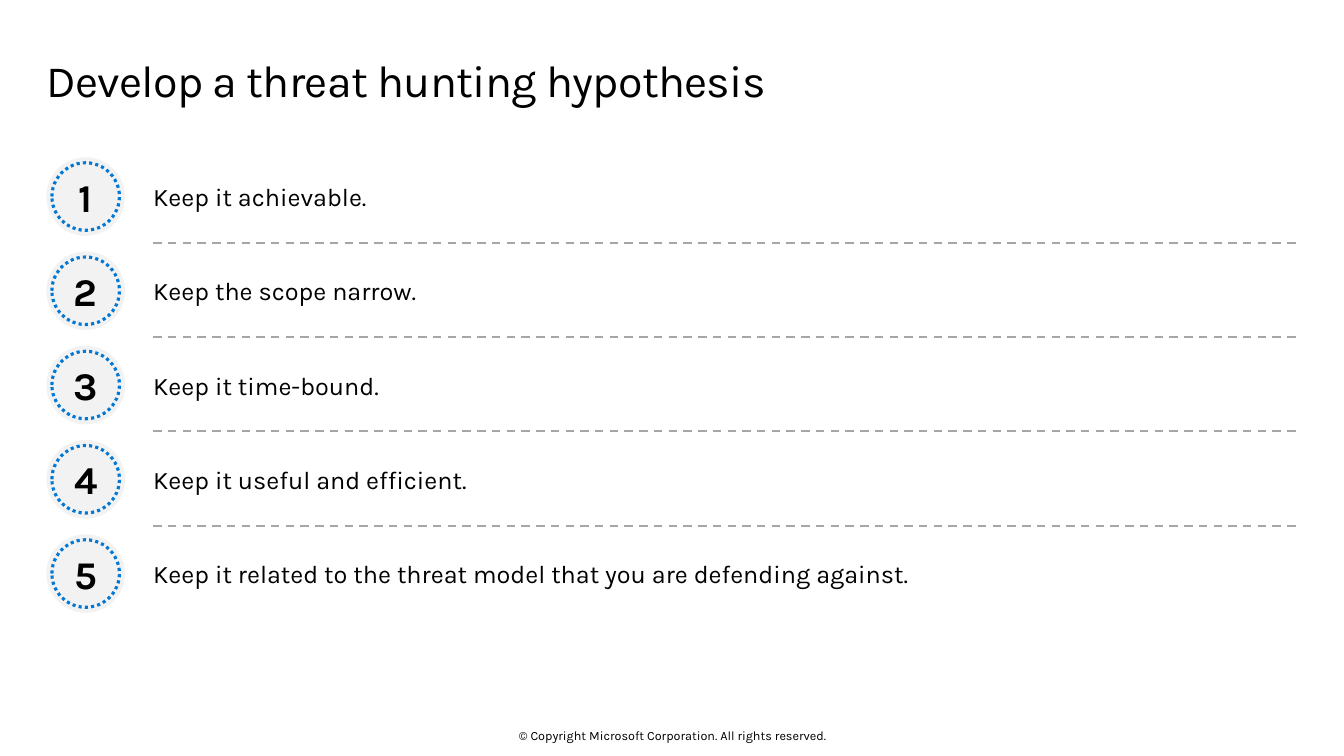
import pptx
import pptx.util
import pptx.dml.color
import pptx.enum.dml
import pptx.enum.shapes
import pptx.enum.text
import pptx.oxml.ns
import lxml.etree

Inches = pptx.util.Inches
Pt = pptx.util.Pt
ALIGN = pptx.enum.text.PP_ALIGN
ANCHOR = pptx.enum.text.MSO_ANCHOR
DASH = pptx.enum.dml.MSO_LINE

FONT = "Karla"
BLACK, GREY, PALE, BLUE = "000000", "A6A6A6", "F2F2F2", "0078D4"

TITLE = "Develop a threat hunting hypothesis"
COPYRIGHT = "© Copyright Microsoft Corporation. All rights reserved."
GUIDELINES = [
    "Keep it achievable.",
    "Keep the scope narrow.",
    "Keep it time-bound.",
    "Keep it useful and efficient.",
    "Keep it related to the threat model that you are defending against.",
]

# Row layout
LEFT, TEXT_LEFT, RIGHT = 0.46, 1.52, 12.86
FIRST_TOP, LAST_TOP = 1.56, 5.3
PITCH = (LAST_TOP - FIRST_TOP) / (len(GUIDELINES) - 1)
DISC, RING = 0.78, 0.67
TEXT_HEIGHT = 0.71
RULE_OFFSET = 0.85


def color(value):
    return pptx.dml.color.RGBColor.from_string(value)


def write(shape, text, size, align=ALIGN.LEFT, anchor=ANCHOR.MIDDLE,
          bold=False, insets=(0, 0, 0, 0)):
    """Put one formatted run in the shape and return its paragraph and run."""
    frame = shape.text_frame
    frame.word_wrap = True
    frame.auto_size = pptx.enum.text.MSO_AUTO_SIZE.NONE
    frame.vertical_anchor = anchor
    (frame.margin_left, frame.margin_top,
     frame.margin_right, frame.margin_bottom) = map(Inches, insets)
    para = frame.paragraphs[0]
    para.alignment = align
    span = para.add_run()
    span.text = text
    span.font.name = FONT
    span.font.size = Pt(size)
    span.font.bold = bold
    span.font.color.rgb = color(BLACK)
    return para, span


def add_title(page, text):
    title = page.shapes.title
    title.left, title.top = Inches(LEFT), Inches(0.48)
    title.width, title.height = Inches(12.4), Inches(0.74)
    para, span = write(title, text, 32, anchor=ANCHOR.TOP,
                       insets=(0, 0.1, 0.16, 0.1))
    para.line_spacing = 0.9
    span.font._element.set("spc", "-50")


def add_text(page, text, left, top, width, height, size, align=ALIGN.LEFT):
    box = page.shapes.add_textbox(Inches(left), Inches(top),
                                  Inches(width), Inches(height))
    write(box, text, size, align)


def add_circle(group, left, top, size):
    circle = group.shapes.add_shape(
        pptx.enum.shapes.MSO_SHAPE.OVAL,
        Inches(left), Inches(top), Inches(size), Inches(size))
    circle.shadow.inherit = False
    return circle


def add_badge(page, number, top):
    group = page.shapes.add_group_shape()
    disc = add_circle(group, LEFT, top, DISC)
    disc.fill.solid()
    disc.fill.fore_color.rgb = color(PALE)
    disc.line.fill.background()
    write(disc, str(number), 28, ALIGN.CENTER, bold=True)
    gap = (DISC - RING) / 2
    ring = add_circle(group, LEFT + gap, top + gap, RING)
    ring.fill.background()
    style_line(ring.line, BLUE, 2.25, DASH.ROUND_DOT)


def style_line(line, value, width, dash):
    line.color.rgb = color(value)
    line.width = Pt(width)
    line.dash_style = dash


def add_rule(page, top):
    rule = page.shapes.add_connector(
        pptx.enum.shapes.MSO_CONNECTOR.STRAIGHT,
        Inches(TEXT_LEFT), Inches(top), Inches(RIGHT), Inches(top))
    style_line(rule.line, GREY, 1.5, DASH.DASH)
    lxml.etree.SubElement(rule._element.spPr,
                          pptx.oxml.ns.qn("a:effectLst"))


def main():
    deck = pptx.Presentation()
    deck.slide_width, deck.slide_height = Inches(13.33), Inches(7.5)
    page = deck.slides.add_slide(deck.slide_layouts[5])
    add_title(page, TITLE)

    # Numbered guidelines, with a dashed rule between rows
    for index, guideline in enumerate(GUIDELINES):
        top = FIRST_TOP + index * PITCH
        add_badge(page, index + 1, top)
        add_text(page, guideline, TEXT_LEFT, top + (DISC - TEXT_HEIGHT) / 2,
                 11.36, TEXT_HEIGHT, 18)
        if index < len(GUIDELINES) - 1:
            add_rule(page, top + RULE_OFFSET)

    # Footer
    add_text(page, COPYRIGHT, 4.42, 7.22, 4.5, 0.15, 9, ALIGN.CENTER)
    deck.save("out.pptx")


if __name__ == "__main__":
    main()
